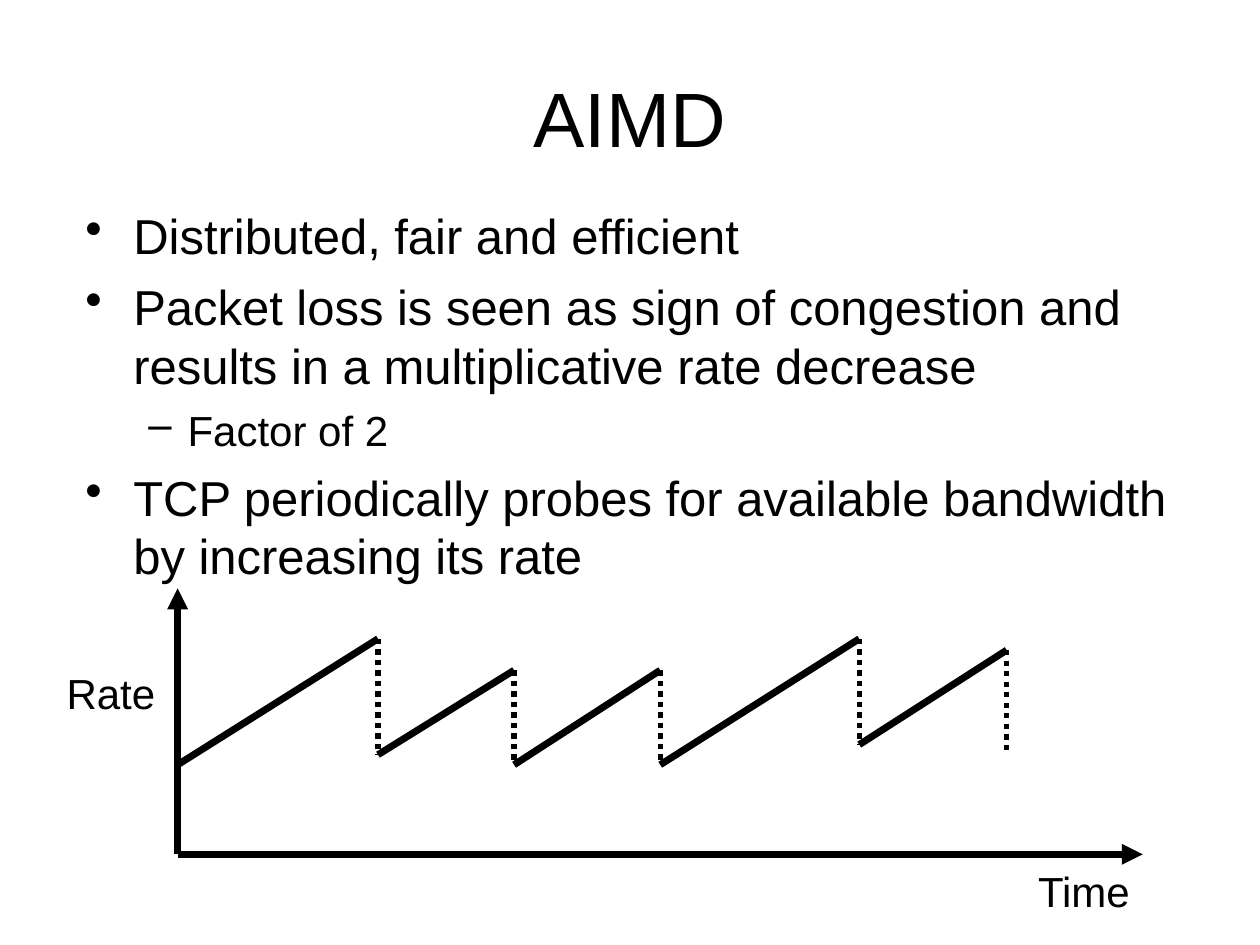
"""Build the AIMD slide: three bullets above a sawtooth of rate over time."""
from lxml import etree
from pptx import Presentation
from pptx import util as u
from pptx.dml.color import RGBColor
from pptx.enum import dml, shapes, text
from pptx.oxml.ns import qn

INK = RGBColor.from_string("000000")


def write(box, words, size=24, align=text.PP_ALIGN.LEFT, mark=None,
          left=0, hang=0, before=0, level=0):
    frame = box.text_frame
    para = frame.paragraphs[0] if not frame.text else frame.add_paragraph()
    if mark:
        props = para._p.get_or_add_pPr()
        props.set("marL", str(u.Inches(left)))
        props.set("indent", str(-u.Inches(hang)))
        etree.SubElement(props, qn("a:buChar")).set("char", mark)
    para.level = level
    para.alignment = align
    para.space_before = u.Pt(before)
    run = para.add_run()
    run.text = words
    run.font.size = u.Pt(size)
    run.font.name = "Arial"
    run.font.color.rgb = INK


def draw(start, end, width=4, dots=False, arrow=False):
    ends = [u.Inches(n) for n in (*start, *end)]
    line = slide.shapes.add_connector(shapes.MSO_CONNECTOR.STRAIGHT, *ends)
    line.line.color.rgb = INK
    line.line.width = u.Pt(width)
    if dots:
        line.line.dash_style = dml.MSO_LINE.ROUND_DOT
    if arrow:
        stroke = line.line._get_or_add_ln()
        etree.SubElement(stroke, qn("a:tailEnd")).set("type", "triangle")
    etree.SubElement(line._element.spPr, qn("a:effectLst"))


deck = Presentation()
deck.slide_width, deck.slide_height = u.Inches(10), u.Inches(7.5)
slide = deck.slides.add_slide(deck.slide_layouts[6])

title = slide.shapes.add_textbox(
    u.Inches(0.5), u.Inches(0.3), u.Inches(9), u.Inches(1.25))
title.text_frame.word_wrap = True
title.text_frame.vertical_anchor = text.MSO_ANCHOR.MIDDLE
write(title, "AIMD", size=44, align=text.PP_ALIGN.CENTER)

body = slide.shapes.add_textbox(
    u.Inches(0.58), u.Inches(1.58), u.Inches(9.08), u.Inches(4.5))
body.text_frame.word_wrap = True
main = dict(size=28, mark="•", left=0.38, hang=0.38)
sub = dict(size=24, mark="–", left=0.81, hang=0.31, level=1)
write(body, "Distributed, fair and efficient", **main)
write(body, "Packet loss is seen as sign of congestion and results in a "
      "multiplicative rate decrease", before=7, **main)
write(body, "Factor of 2", before=6, **sub)
write(body, "TCP periodically probes for available bandwidth by increasing "
      "its rate", before=7, **main)

origin = (1.41, 6.78)
for tip in ((1.41, 4.67), (9.07, 6.78)):
    draw(origin, tip, arrow=True)

drops = [(3, 5.07, 5.99), (4.08, 5.32, 6.07), (5.24, 5.32, 6.07),
         (6.82, 5.07, 5.91), (7.99, 5.16, 5.99)]
start = (1.41, 6.07)
for x, peak, low in drops:
    draw(start, (x, peak))
    draw((x, peak), (x, low), width=3, dots=True)
    start = (x, low)

for name, x, y in (("Time", 8.14, 6.82), ("Rate", 0.43, 5.25)):
    label = slide.shapes.add_textbox(
        u.Inches(x), u.Inches(y), u.Inches(0.94), u.Inches(0.5))
    label.text_frame.word_wrap = False
    label.text_frame.auto_size = text.MSO_AUTO_SIZE.SHAPE_TO_FIT_TEXT
    write(label, name)

deck.save("out.pptx")
